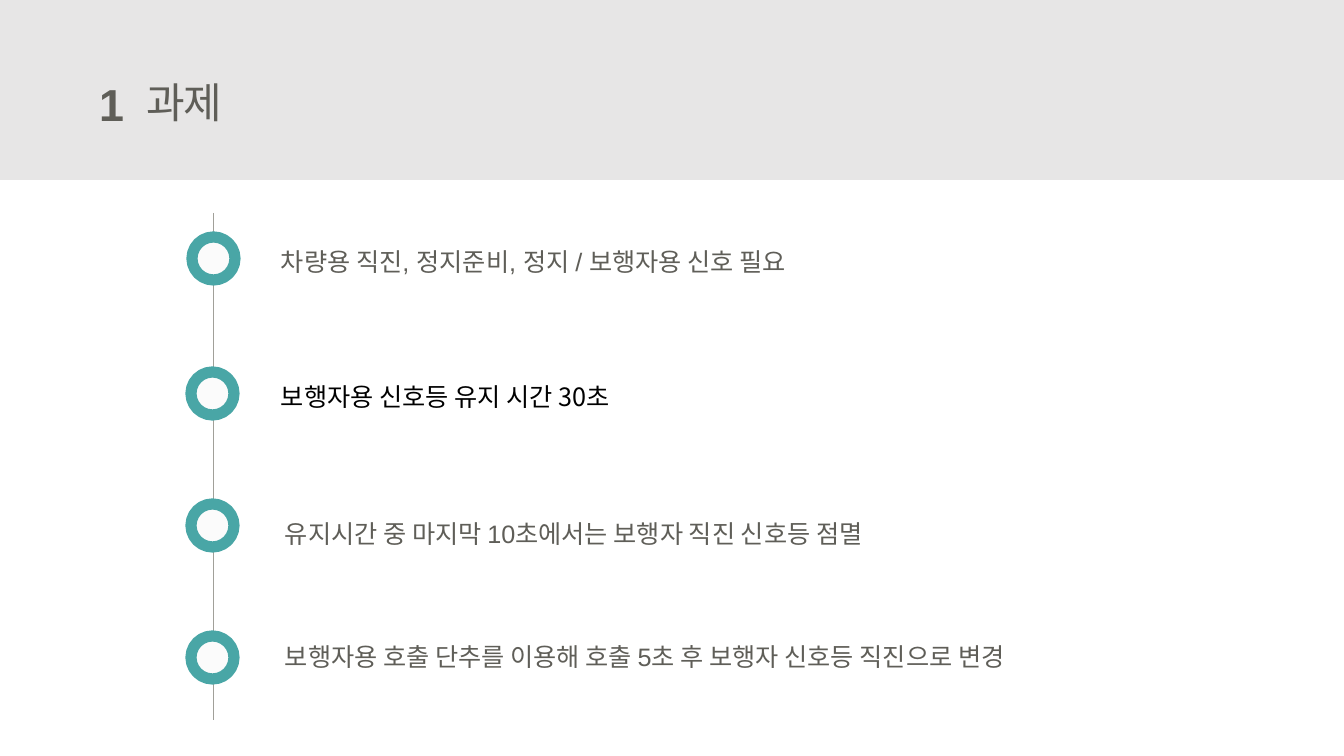
from lxml import etree
from pptx import Presentation
from pptx import util as u
from pptx.dml.color import RGBColor
from pptx.enum import shapes, text
from pptx.oxml.ns import qn

SCALE = 914400 / 100.8
WIDTH, HEIGHT = 1344, 756
COLOURS = {
    "band": "E7E6E6",
    "grey": "5F5E58",
    "black": "000000",
    "axis": "A1A099",
    "ring": "49A6A6",
    "centre": "FBFBFB",
}
LATIN, KOREAN = "Arial", "Noto Sans CJK KR"
RING = 43
TASKS = [
    ("차량용 직진, 정지준비, 정지 / 보행자용 신호 필요", LATIN, "grey", (58, 28, 575), (-21, 24)),
    ("보행자용 신호등 유지 시간 30초", KOREAN, "black", (58, 163, 390), (-22, 159)),
    ("유지시간 중 마지막 10초에서는 보행자 직진 신호등 점멸", LATIN, "grey", (62, 300, 658), (-22, 291)),
    ("보행자용 호출 단추를 이용해 호출 5초 후 보행자 신호등 직진으로 변경", LATIN, "grey", (62, 423, 817), (-22, 423)),
]


def px(length):
    """Turn pixels into EMU."""
    return u.Emu(round(length * SCALE))


def colour(name):
    """Look up a named colour."""
    return RGBColor.from_string(COLOURS[name])


def add_label(slide, box, words, size, font, ink="grey", bold=False, spacing=None, align=text.PP_ALIGN.LEFT):
    """Add a one-line text box."""
    frame = slide.shapes.add_textbox(*map(px, box)).text_frame
    frame.word_wrap = False
    frame.auto_size = text.MSO_AUTO_SIZE.SHAPE_TO_FIT_TEXT
    paragraph = frame.paragraphs[0]
    paragraph.alignment = align
    run = paragraph.add_run()
    run.text = words
    run.font.size = u.Pt(size)
    run.font.bold = bold
    run.font.color.rgb = colour(ink)
    run.font.name = font
    properties = run.font._element
    etree.SubElement(properties, qn("a:ea")).set("typeface", KOREAN)
    if spacing is not None:
        properties.set("spc", str(spacing))


def add_filled(slide, kind, box, fill, line=None, weight=0):
    """Add a flat preset shape with an optional outline."""
    shape = slide.shapes.add_shape(kind, *map(px, box))
    shape.shadow.inherit = False
    shape.fill.solid()
    shape.fill.fore_color.rgb = colour(fill)
    if line:
        shape.line.color.rgb = colour(line)
        shape.line.width = u.Pt(weight)
    else:
        shape.line.fill.background()


def add_header(slide, left, top, width, height):
    """Draw the title band with its number and heading."""
    add_filled(slide, shapes.MSO_SHAPE.RECTANGLE, (left, top, width, height), "band")
    add_label(slide, (left + 137, top + 72, 101, 61), "과제", 30, KOREAN, spacing=-150)
    add_label(slide, (left + 89, top + 72, 45, 64), "1", 32, LATIN, bold=True, align=text.PP_ALIGN.RIGHT)


def add_timeline(slide, left, top, height):
    """Draw the vertical axis with a ring and a text for each task."""
    axis = slide.shapes.add_connector(
        shapes.MSO_CONNECTOR.STRAIGHT, px(left), px(top), px(left), px(top + height)
    )
    axis.line.color.rgb = colour("axis")
    axis.line.width = u.Pt(0.5)
    etree.SubElement(axis._element.spPr, qn("a:effectLst"))
    for words, font, ink, (text_x, text_y, width), (ring_x, ring_y) in TASKS:
        ring_box = (left + ring_x, top + ring_y, RING, RING)
        add_filled(slide, shapes.MSO_SHAPE.OVAL, ring_box, "centre", "ring", 8)
        add_label(slide, (left + text_x, top + text_y, width, 40), words, 18, font, ink)


def main():
    """Build and save the slide."""
    presentation = Presentation()
    presentation.slide_width, presentation.slide_height = px(WIDTH), px(HEIGHT)
    slide = presentation.slides.add_slide(presentation.slide_layouts[6])
    add_header(slide, 0, 0, WIDTH, 180)
    add_timeline(slide, 213, 213, 507)
    presentation.save("out.pptx")


if __name__ == "__main__":
    main()
